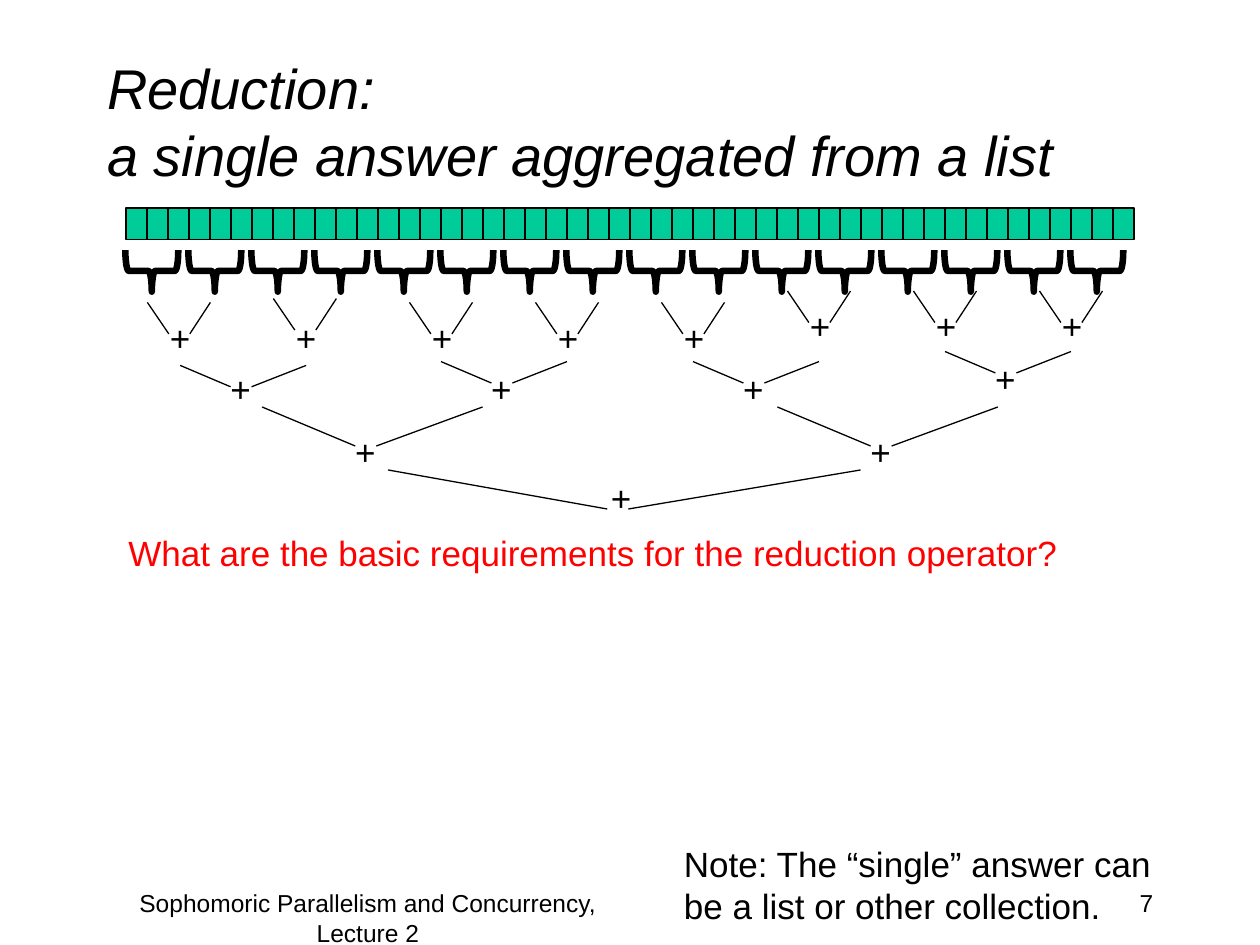
from lxml.etree import SubElement
from pptx import Presentation
from pptx.dml.color import RGBColor
from pptx.enum.shapes import MSO_CONNECTOR, MSO_SHAPE
from pptx.enum.text import MSO_ANCHOR, MSO_AUTO_SIZE, PP_ALIGN
from pptx.oxml.ns import qn
from pptx.util import Cm, Pt

BLACK, GREEN, RED = "000000", "00CC99", "FF0000"

# Lengths below are inches.
TITLE = "Reduction:\va single answer aggregated from a list"
TITLE_AREA = (0.75, 0.33, 8.5, 1.25)
TEXTS = [  # text, area, size, colour, alignment, space before
    ("7", (7.17, 7, 2.08, 0.5), 14, BLACK, PP_ALIGN.RIGHT, 0),
    ("Sophomoric Parallelism and Concurrency, Lecture 2",
     (0.67, 7, 4.5, 0.5), 14, BLACK, PP_ALIGN.CENTER, 0),
    ("What are the basic requirements for the reduction operator?",
     (0.92, 4.17, 8.5, 0.83), 20, RED, PP_ALIGN.LEFT, 4),
    ("Note: The “single” answer can be a list or other collection.",
     (5.33, 6.64, 4.17, 0.77), 20, BLACK, PP_ALIGN.LEFT, 0),
]
CELL_COUNT, CELL_PITCH = 48, 1 / 6
BRACE_COUNT, BRACE_PITCH = 16, 0.5
FOOT_GAP = 1 / 6  # between the lower ends of two joining lines

# Each level: width and drop of a join, offset of its left foot and of its plus,
# then the joins as (left, top of the lines, top of the plus).
LEVELS = [
    {"width": 0.5, "drop": 0.25, "foot": 0.17, "plus": 0.08,
     "joins": [(1.17, 2.4, 2.46), (2.17, 2.37, 2.46), (3.25, 2.4, 2.46),
               (4.25, 2.4, 2.46), (5.25, 2.4, 2.46), (6.25, 2.31, 2.37),
               (7.25, 2.31, 2.37), (8.25, 2.31, 2.37)]},
    {"width": 1, "drop": 0.17, "foot": 0.4, "plus": 0.3,
     "joins": [(1.43, 2.9, 2.87), (3.5, 2.87, 2.87),
               (5.5, 2.87, 2.87), (7.5, 2.79, 2.79)]},
    {"width": 1.75, "drop": 0.31, "foot": 0.74, "plus": 0.64,
     "joins": [(2.08, 3.23, 3.37), (6.17, 3.23, 3.37)]},
    {"width": 3.75, "drop": 0.31, "foot": 1.74, "plus": 1.67,
     "joins": [(3.08, 3.73, 3.73)]},
]


def inches(*values):
    return [Cm(value * 2.54) for value in values]


def colour(code):
    return RGBColor.from_string(code)


def format_text(frame, text, size, code, align=PP_ALIGN.LEFT, before=0, **extra):
    frame.text = text
    para = frame.paragraphs[0]
    para.alignment = align
    para.space_before = Pt(before)
    values = {"name": "Arial", "size": Pt(size), **extra}
    for span in para.runs:
        for name, value in values.items():
            setattr(span.font, name, value)
        span.font.color.rgb = colour(code)


def add_text(slide, text, area, size, code, align=PP_ALIGN.LEFT, before=0, wrap=True):
    box = slide.shapes.add_textbox(*inches(*area))
    box.text_frame.word_wrap = wrap
    format_text(box.text_frame, text, size, code, align, before)


def add_outline(slide, kind, area, width, fill=None):
    shape = slide.shapes.add_shape(kind, *inches(*area))
    shape.shadow.inherit = False
    if fill:
        shape.fill.solid()
        shape.fill.fore_color.rgb = colour(fill)
    else:
        shape.fill.background()
    shape.line.color.rgb = colour(BLACK)
    shape.line.width = Pt(width)
    return shape


def add_line(slide, *ends):
    line = slide.shapes.add_connector(MSO_CONNECTOR.STRAIGHT, *inches(*ends))
    line.line.color.rgb = colour(BLACK)
    line.line.width = Pt(0.75)
    SubElement(line._element.spPr, qn("a:effectLst"))


def add_join(slide, level, left, top, plus_top):
    """Draw two converging lines and the plus they meet at."""
    bottom = top + level["drop"]
    foot = left + level["foot"]
    add_line(slide, left, top, foot, bottom)
    add_line(slide, left + level["width"], top, foot + FOOT_GAP, bottom)
    add_text(slide, "+", (left + level["plus"], plus_top, 0.36, 0.44), 20, BLACK, wrap=False)


def main():
    deck = Presentation()
    deck.slide_width, deck.slide_height = inches(10, 7.5)
    slide = deck.slides.add_slide(deck.slide_layouts[5])

    title = slide.shapes.title
    title.left, title.top, title.width, title.height = inches(*TITLE_AREA)
    title.text_frame.vertical_anchor = MSO_ANCHOR.MIDDLE
    title.text_frame.auto_size = MSO_AUTO_SIZE.NONE
    format_text(title.text_frame, TITLE, 32, BLACK, italic=True)

    for index in range(CELL_COUNT):
        area = (1 + index * CELL_PITCH, 1.65, CELL_PITCH, 0.25)
        add_outline(slide, MSO_SHAPE.RECTANGLE, area, 0.75, GREEN)
    for index in range(BRACE_COUNT):
        area = (1.04 + index * BRACE_PITCH, 1.94, 0.33, 0.42)
        add_outline(slide, MSO_SHAPE.LEFT_BRACE, area, 3.75).rotation = 270
    for level in LEVELS:
        for join in level["joins"]:
            add_join(slide, level, *join)
    for entry in TEXTS:
        add_text(slide, *entry)

    deck.save("out.pptx")


if __name__ == "__main__":
    main()
